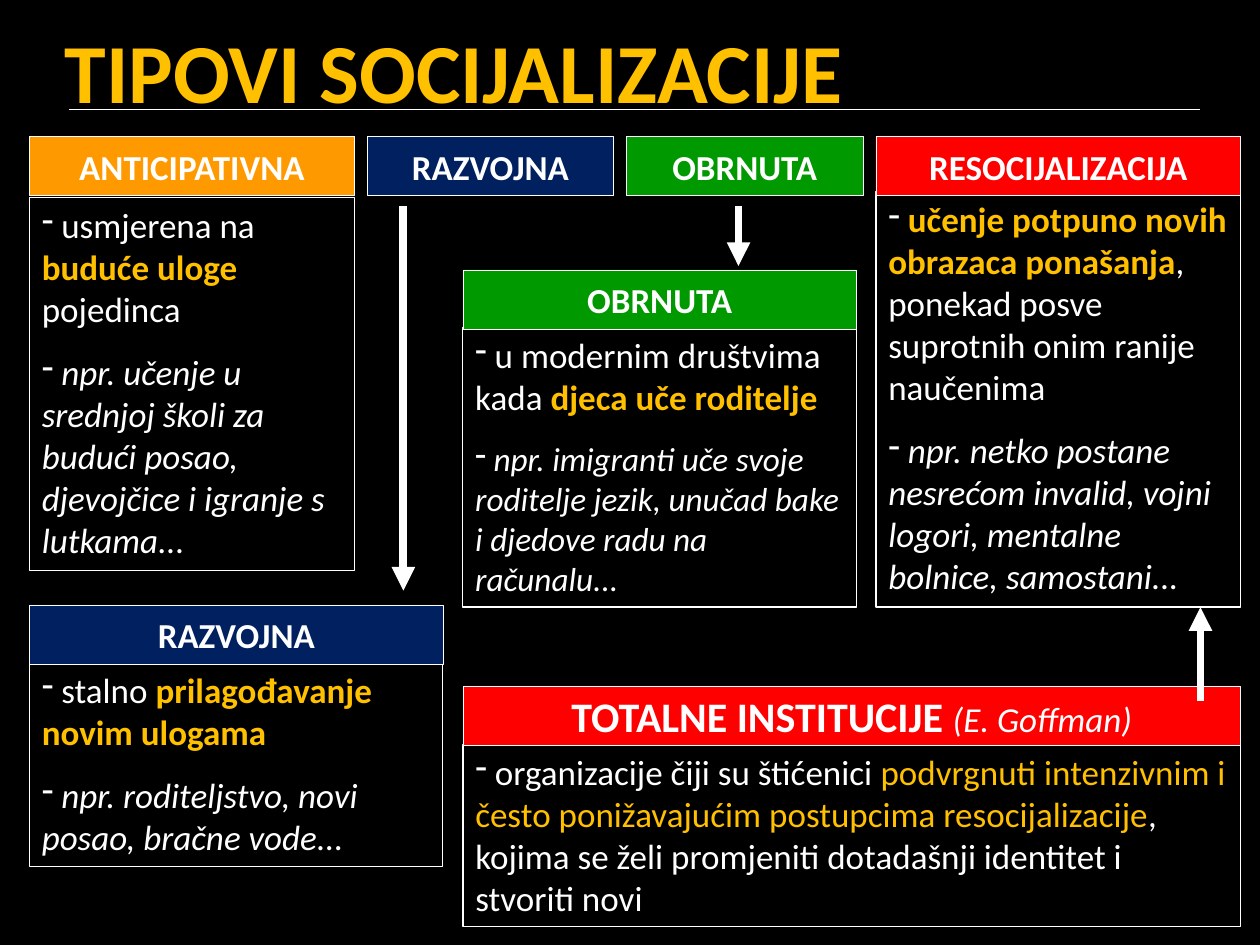
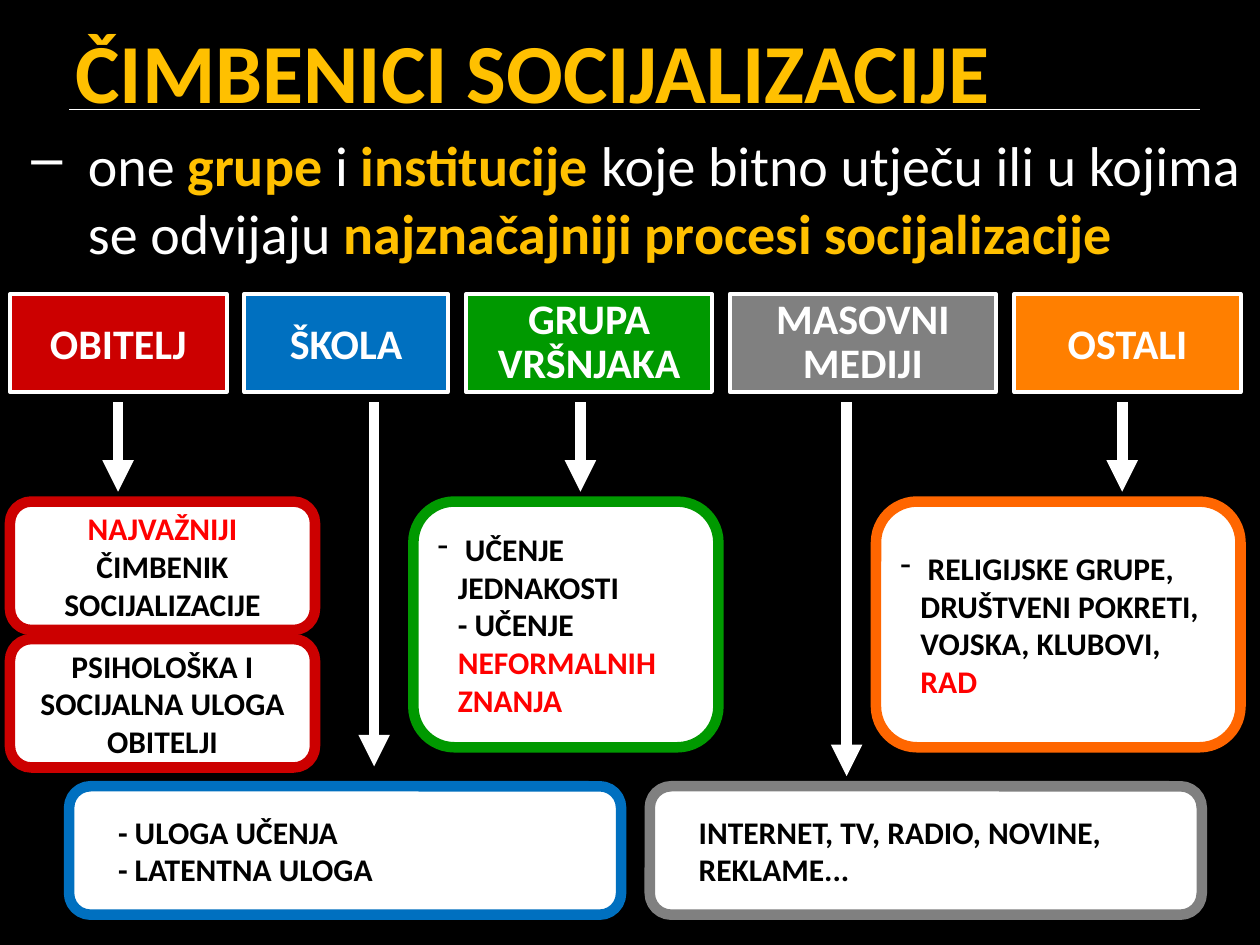
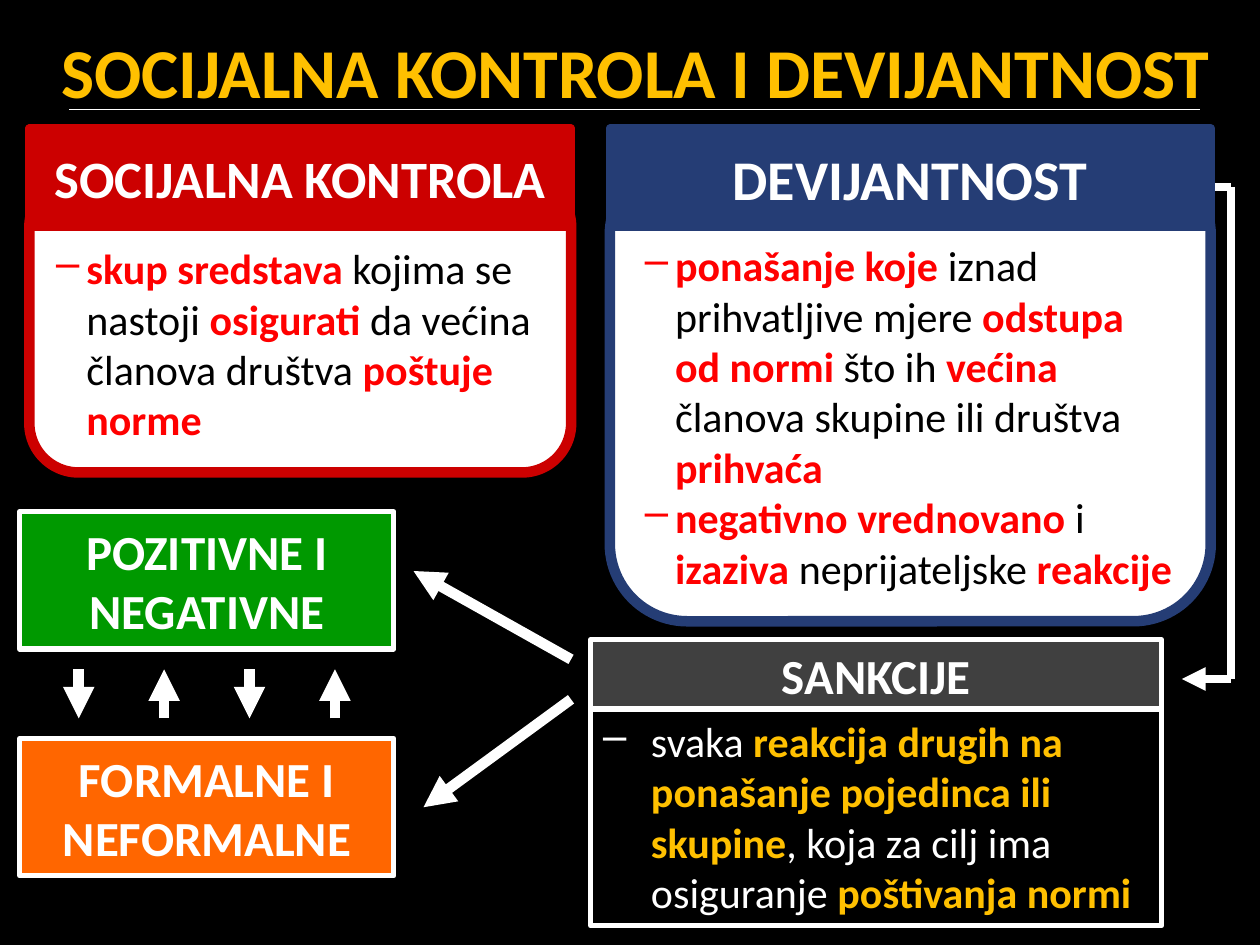
"""Builds three slides on socialisation, social control and deviance."""
import collections

import pptx
import pptx.dml.color
import pptx.enum.shapes
import pptx.enum.text
import pptx.oxml.ns
import pptx.util
from lxml import etree

Pt = pptx.util.Pt
RGBColor = pptx.dml.color.RGBColor
SHAPE = pptx.enum.shapes.MSO_SHAPE
ANCHOR = pptx.enum.text.MSO_ANCHOR
ALIGN = pptx.enum.text.PP_ALIGN
qn = pptx.oxml.ns.qn

BLACK = RGBColor(0x00, 0x00, 0x00)
WHITE = RGBColor(0xFF, 0xFF, 0xFF)
GOLD = RGBColor(0xFF, 0xC0, 0x00)
AMBER = RGBColor(0xFF, 0x99, 0x00)
TANGERINE = RGBColor(0xFF, 0x7F, 0x00)
ORANGE = RGBColor(0xFF, 0x66, 0x00)
RED = RGBColor(0xFF, 0x00, 0x00)
CRIMSON = RGBColor(0xCC, 0x00, 0x00)
GREEN = RGBColor(0x00, 0x99, 0x00)
NAVY = RGBColor(0x00, 0x20, 0x60)
INDIGO = RGBColor(0x25, 0x3D, 0x75)
BLUE = RGBColor(0x00, 0x70, 0xC0)
GREY = RGBColor(0x80, 0x80, 0x80)
CHARCOAL = RGBColor(0x40, 0x40, 0x40)
FONT = "Calibri"

Style = collections.namedtuple("Style", "size color bold italic", defaults=(WHITE, False, False))
Block = collections.namedtuple(
    "Block", "text base accent align bullet hang left before spacing",
    defaults=(None, ALIGN.LEFT, None, 0, 0, 0, None))

PLAIN = Style(20)
STRONG = Style(20, GOLD, True)
EXAMPLE = Style(20, italic=True)
CARD = Style(18, BLACK, True)
CARD_ACCENT = Style(18, RED, True)
DEFINITION = Style(24, BLACK)
DEFINITION_ACCENT = Style(24, RED, True)


def add_box(slide, kind, bounds, blocks, fill=None, line=None, width=0.75,
            anchor=ANCHOR.MIDDLE, top_inset=3.6):
    """Add a shape, or a text box when kind is None; "|" toggles base and accent."""
    bounds = [Pt(value) for value in bounds]
    if kind is None:
        shape = slide.shapes.add_textbox(*bounds)
    else:
        shape = slide.shapes.add_shape(kind, *bounds)
        shape.shadow.inherit = False
    if fill is None:
        shape.fill.background()
    else:
        shape.fill.solid()
        shape.fill.fore_color.rgb = fill
    if line is None:
        shape.line.fill.background()
    else:
        shape.line.color.rgb = line
        shape.line.width = Pt(width)
    frame = shape.text_frame
    frame.word_wrap = True
    frame.vertical_anchor = anchor
    frame.margin_top = Pt(top_inset)
    for number, block in enumerate(blocks):
        paragraph = frame.add_paragraph() if number else frame.paragraphs[0]
        paragraph.alignment = block.align
        paragraph.space_before = Pt(block.before)
        if block.spacing:
            paragraph.line_spacing = Pt(block.spacing)
        properties = paragraph._p.get_or_add_pPr()
        properties.set("marL", str(Pt(block.left + block.hang)))
        properties.set("indent", str(Pt(-block.hang)))
        if block.bullet:
            etree.SubElement(properties, qn("a:buChar")).set("char", block.bullet)
        for position, piece in enumerate(block.text.split("|")):
            style = block.accent if position % 2 else block.base
            for row, text in enumerate(piece.split("\n")):
                if row:
                    paragraph.add_line_break()
                if not text:
                    continue
                run = paragraph.add_run()
                run.text = text
                run.font.name = FONT
                run.font.size = Pt(style.size)
                run.font.color.rgb = style.color
                run.font.bold = style.bold
                run.font.italic = style.italic


def add_line(slide, start, end, width, arrow=True):
    """Add a white straight line, with an arrowhead at its end if wanted."""
    connector = slide.shapes.add_connector(
        pptx.enum.shapes.MSO_CONNECTOR.STRAIGHT, *[Pt(value) for value in (*start, *end)])
    connector.line.color.rgb = WHITE
    connector.line.width = Pt(width)
    properties = connector._element.spPr
    if arrow:
        etree.SubElement(properties.find(qn("a:ln")), qn("a:tailEnd")).set("type", "triangle")
    etree.SubElement(properties, qn("a:effectLst"))


presentation = pptx.Presentation()
presentation.slide_width = Pt(720)
presentation.slide_height = Pt(540)
background = presentation.slide_master.background.fill
background.solid()
background.fore_color.rgb = BLACK

slides = []
for title, left, width, size, align in [
    ("TIPOVI SOCIJALIZACIJE", 30, 640, 48, ALIGN.LEFT),
    ("ČIMBENICI SOCIJALIZACIJE", 36, 648, 48, ALIGN.LEFT),
    ("SOCIJALNA KONTROLA I DEVIJANTNOST", 14.4, 697.6, 40, ALIGN.CENTER),
]:
    slide = presentation.slides.add_slide(presentation.slide_layouts[6])
    add_line(slide, (39.5, 62.6), (686, 62.6), 1, arrow=False)
    add_box(slide, None, (left, 6, width, 68),
            [Block(title, Style(size, GOLD, True), align=align)])
    slides.append(slide)
types_slide, agents_slide, control_slide = slides

HEADER_HEIGHT = 33.8
for bounds, definition, example, accent, example_size in [
    ((500.5, 109.5, 208.5, 237.5),
     " |učenje potpuno novih obrazaca ponašanja|, ponekad posve suprotnih onim ranije naučenima",
     "npr. netko postane nesrećom invalid, vojni logori, mentalne bolnice, samostani...",
     STRONG, 20),
    ((16.8, 112.8, 185.8, 213.2), " usmjerena na |buduće uloge |pojedinca",
     "npr. učenje u srednjoj školi za budući posao, djevojčice i igranje s lutkama...",
     STRONG, 20),
    ((16.8, 378.5, 236, 116.5), " stalno |prilagođavanje novim ulogama",
     "npr. roditeljstvo, novi posao, bračne vode...", STRONG, 20),
    ((264.5, 187, 225, 160), " u modernim društvima kada |djeca uče roditelje",
     "npr. imigranti uče svoje roditelje jezik, unučad bake i djedove radu na računalu...",
     STRONG, 19),
    ((264.5, 425.3, 444.5, 104),
     " organizacije čiji su štićenici |podvrgnuti intenzivnim i često ponižavajućim "
     "postupcima resocijalizacije|, kojima se želi promjeniti dotadašnji identitet i stvoriti novi",
     None, Style(20, GOLD), 20),
]:
    blocks = [Block(definition, PLAIN, accent, bullet="-")]
    if example:
        blocks.append(Block(" |" + example, Style(example_size),
                            EXAMPLE._replace(size=example_size), bullet="-", before=12))
    add_box(types_slide, SHAPE.RECTANGLE, bounds, blocks, line=WHITE, anchor=ANCHOR.TOP)

for text, left, top, width, fill, size in [
    ("ANTICIPATIVNA", 16.8, 78, 185.8, AMBER, 20),
    ("RAZVOJNA", 210, 78, 140.6, NAVY, 20),
    ("OBRNUTA", 358, 78, 135.2, GREEN, 20),
    ("RESOCIJALIZACIJA", 500.5, 78, 208.5, RED, 20),
    ("RAZVOJNA", 16.8, 345.6, 236.5, NAVY, 20),
    ("OBRNUTA", 264.5, 154.3, 225, GREEN, 20),
    ("TOTALNE INSTITUCIJE |(E. Goffman)", 264.5, 392.3, 444.5, RED, 24),
]:
    add_box(types_slide, SHAPE.RECTANGLE, (left, top, width, HEADER_HEIGHT),
            [Block(text, Style(size, bold=True), EXAMPLE, ALIGN.CENTER)],
            fill=fill, line=WHITE, width=0.25)

for x, start, end in [(230.5, 118, 337.5), (422, 118, 152), (686, 400.5, 347)]:
    add_line(types_slide, (x, start), (x, end), 4.5)

add_box(agents_slide, None, (0, 71.3, 720, 78.5), [Block(
    "one |grupe |i |institucije |koje bitno utječu ili u kojima se odvijaju "
    "|najznačajniji procesi socijalizacije",
    Style(32), Style(32, GOLD, True), bullet="–", hang=32.4, left=10.8, before=6.4)],
    anchor=ANCHOR.TOP)

for text, left, width, fill, spacing in [
    ("OBITELJ", 5.7, 123.8, CRIMSON, None),
    ("ŠKOLA", 139.6, 116.3, BLUE, None),
    ("GRUPA VRŠNJAKA", 266.4, 140.4, GREEN, 25),
    ("MASOVNI MEDIJI", 417.1, 152, GREY, 25),
    ("OSTALI", 579.6, 129.4, TANGERINE, None),
]:
    add_box(agents_slide, SHAPE.RECTANGLE, (left, 168, width, 56),
            [Block(text, Style(24, bold=True), align=ALIGN.CENTER, spacing=spacing)],
            fill=fill, line=WHITE, width=2.25)

for x, end in [(67.5, 281), (213.8, 438), (331.7, 281), (483.8, 443.5), (641.3, 281)]:
    add_line(agents_slide, (x, 229.8), (x, end), 6)

centred = Block("", CARD, CARD_ACCENT, ALIGN.CENTER)
indented = Block("", CARD, left=17.3)
bulleted = Block("", CARD, CARD_ACCENT, bullet="-", hang=11.5)
for block, text, bounds, line in [
    (centred, "|NAJVAŽNIJI| ČIMBENIK SOCIJALIZACIJE", (5.7, 286.6, 174.3, 73.4), CRIMSON),
    (centred, "PSIHOLOŠKA I SOCIJALNA ULOGA OBITELJI", (5.7, 365.2, 174.3, 73.4), CRIMSON),
    (indented, "- ULOGA UČENJA\n- LATENTNA ULOGA", (39.5, 449.3, 315.4, 73.4), BLUE),
    (indented, "INTERNET, TV, RADIO, NOVINE, REKLAME...", (371.3, 449.3, 315.4, 73.4), GREY),
    (bulleted, " UČENJE JEDNAKOSTI \n- UČENJE |NEFORMALNIH ZNANJA",
     (236.2, 286.6, 174.3, 140.4), GREEN),
    (bulleted, " RELIGIJSKE GRUPE, \nDRUŠTVENI POKRETI, \nVOJSKA, KLUBOVI, |RAD",
     (500.6, 286.6, 208.3, 140.4), ORANGE),
]:
    add_box(agents_slide, SHAPE.ROUNDED_RECTANGLE, bounds, [block._replace(text=text)],
            fill=WHITE, line=line, width=6)

bracket = [(684.7, 106.8), (703.2, 106.8), (703.2, 388), (675.4, 388)]
for start, end in zip(bracket, bracket[1:]):
    add_line(control_slide, start, end, 4.5, arrow=end == bracket[-1])

for heading, size, left, width, color, top, height, inset, texts in [
    ("SOCIJALNA KONTROLA", 30, 16.8, 309.6, CRIMSON, 101.5, 168.5, 29,
     ["|skup sredstava |kojima se nastoji |osigurati| da većina članova društva |poštuje norme"]),
    ("DEVIJANTNOST", 32, 348.5, 343.4, INDIGO, 90, 265, 34,
     ["|ponašanje koje |iznad prihvatljive mjere |odstupa od normi |što ih |većina "
      "|članova skupine ili društva |prihvaća",
      "|negativno vrednovano |i |izaziva |neprijateljske |reakcije"]),
]:
    add_box(control_slide, SHAPE.ROUNDED_RECTANGLE, (left, top, width, height),
            [Block(text, DEFINITION, DEFINITION_ACCENT, bullet="–", hang=17.3) for text in texts],
            fill=WHITE, line=color, width=6, anchor=ANCHOR.TOP, top_inset=inset)
    add_box(control_slide, SHAPE.RECTANGLE, (left, 73.4, width, 56.2),
            [Block(heading, Style(size, bold=True), align=ALIGN.CENTER)],
            fill=color, line=color, width=4.5)

add_box(control_slide, SHAPE.RECTANGLE, (337.5, 405.2, 326.3, 123.8), [Block(
    "svaka |reakcija drugih na ponašanje pojedinca ili skupine|, koja za cilj ima osiguranje "
    "|poštivanja normi ", Style(24), Style(24, GOLD, True), bullet="–", hang=27.4)],
    line=WHITE, width=3, anchor=ANCHOR.TOP)

for text, bounds, fill in [
    ("SANKCIJE", (337.5, 365.6, 326.3, 39.6), CHARCOAL),
    ("POZITIVNE I NEGATIVNE", (11.3, 292.4, 213.8, 78.5), GREEN),
    ("FORMALNE I NEFORMALNE", (11.3, 422, 213.8, 78.5), ORANGE),
]:
    add_box(control_slide, SHAPE.RECTANGLE, bounds,
            [Block(text, Style(28, bold=True), align=ALIGN.CENTER)],
            fill=fill, line=WHITE, width=3)

add_line(control_slide, (326.3, 376.8), (236.3, 326.3), 6)
add_line(control_slide, (326.3, 399.6), (242, 461.3), 6)
for number in range(4):
    x = 45 + 48.8 * number
    start, end = (410.5, 382.5) if number % 2 else (382.5, 410.5)
    add_line(control_slide, (x, start), (x, end), 6)

presentation.save("out.pptx")
